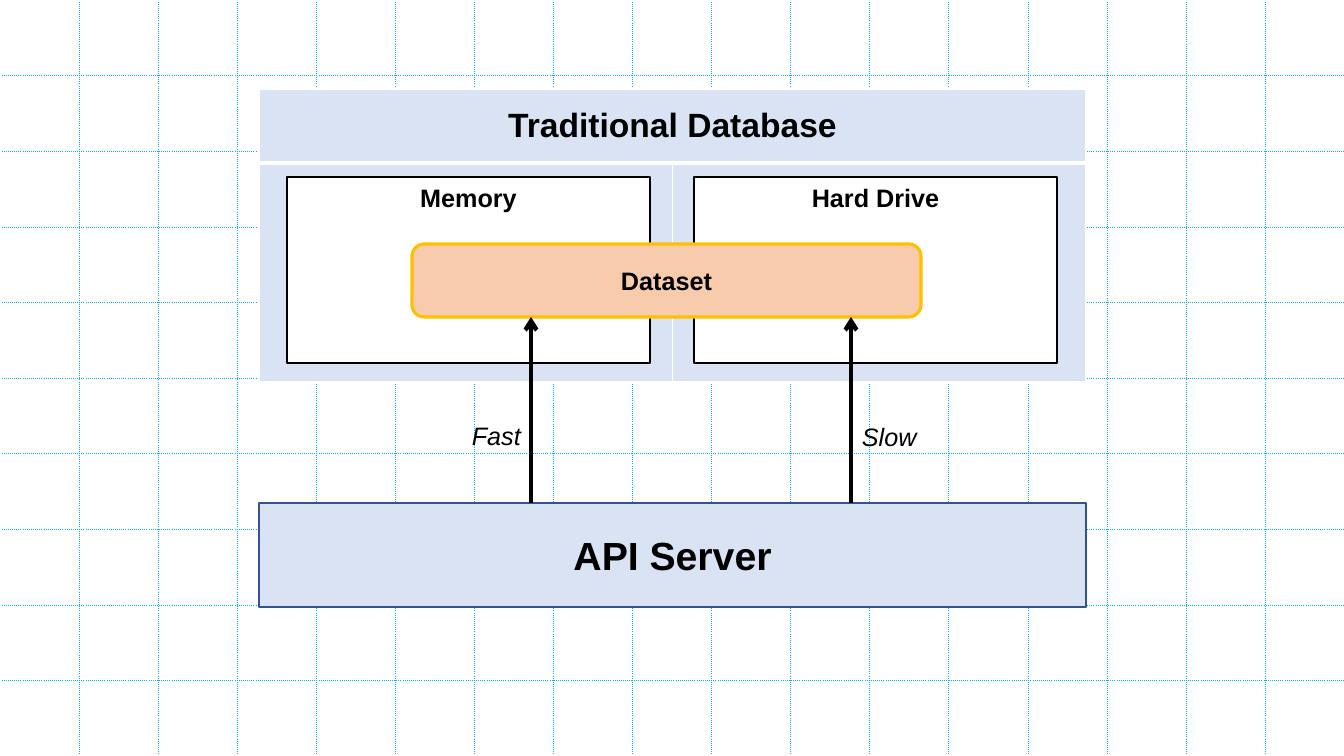
from lxml.etree import SubElement
from pptx import Presentation
from pptx.dml.color import RGBColor
from pptx.enum.shapes import MSO_CONNECTOR as Connector, MSO_SHAPE as Shape
from pptx.enum.text import MSO_ANCHOR as Anchor, MSO_AUTO_SIZE as AutoSize, PP_ALIGN as Align
from pptx.oxml.ns import qn
from pptx.util import Emu, Pt

# Content, lengths in px
SLIDE_WIDTH, SLIDE_HEIGHT = 1344, 756
GRID_COLUMNS, GRID_ROWS = 17, 10
PANEL_LEFT, PANEL_WIDTH = 259, 827
DATABASE_TOP, DATABASE_ROWS = 89, (74, 219)
DATASET_BOTTOM, SERVER_TOP = 317, 503
PANEL_FILL = "DAE3F3"
GRID_LINE = ("00B0F0", 0.25, "sysDot")

# text, shape, (left, top, width, height), fill, line, line width, size, anchor
BOXES = [
    ("Memory", Shape.RECTANGLE, (287, 177, 363, 186), "FFFFFF", "000000", 1, 18, Anchor.TOP),
    ("Hard Drive", Shape.RECTANGLE, (694, 177, 363, 186), "FFFFFF", "000000", 1, 18, Anchor.TOP),
    ("Dataset", Shape.ROUNDED_RECTANGLE, (412, 244, 509, DATASET_BOTTOM - 244),
     "F8CBAD", "FFC000", 2.25, 18, Anchor.MIDDLE),
    ("API Server", Shape.RECTANGLE, (PANEL_LEFT, SERVER_TOP, PANEL_WIDTH, 104),
     PANEL_FILL, "325491", 1, 28, Anchor.MIDDLE),
]
ARROWS = [531, 851]
LABELS = [("Fast", (462, 415, 70, 40)), ("Slow", (852, 416, 76, 40))]


def px(length):
    return Emu(round(length * 914400 / 100.8))


def color(value):
    return RGBColor.from_string(value)


def write(frame, text, size, align=Align.CENTER, **styles):
    paragraph = frame.paragraphs[0]
    paragraph.alignment = align
    run = paragraph.add_run()
    run.text = text
    for name, value in {"name": "Arial", "size": Pt(size), **styles}.items():
        setattr(run.font, name, value)
    run.font.color.rgb = color("000000")


def set_borders(cell, borders):
    properties = cell._tc.get_or_add_tcPr()
    for side in "LRTB":
        if side in borders:
            line_color, width, dash = borders[side]
            line = SubElement(properties, qn(f"a:ln{side}"), w=str(Pt(width)))
            fill = SubElement(line, qn("a:solidFill"))
            SubElement(fill, qn("a:srgbClr"), val=line_color)
            SubElement(line, qn("a:prstDash"), val=dash)


def add_plain_table(left, top, widths, heights):
    table = slide.shapes.add_table(len(heights), len(widths), px(left), px(top),
                                   px(sum(widths)), px(sum(heights))).table
    table.first_row = table.horz_banding = False
    for column, width in zip(table.columns, widths):
        column.width = px(width)
    for row, height in zip(table.rows, heights):
        row.height = px(height)
    return table


presentation = Presentation()
presentation.slide_width, presentation.slide_height = px(SLIDE_WIDTH), px(SLIDE_HEIGHT)
slide = presentation.slides.add_slide(presentation.slide_layouts[6])

# Dotted background grid, with inner lines only
grid = add_plain_table(0, 0, [SLIDE_WIDTH / GRID_COLUMNS] * GRID_COLUMNS,
                       [SLIDE_HEIGHT / GRID_ROWS] * GRID_ROWS)
for row in range(GRID_ROWS):
    for column in range(GRID_COLUMNS):
        inner = {"L": column > 0, "R": column < GRID_COLUMNS - 1,
                 "T": row > 0, "B": row < GRID_ROWS - 1}
        cell = grid.cell(row, column)
        set_borders(cell, {side: GRID_LINE for side in inner if inner[side]})
        cell.fill.background()

# Database panel
database = add_plain_table(PANEL_LEFT, DATABASE_TOP, [PANEL_WIDTH / 2] * 2, DATABASE_ROWS)
for row in range(2):
    for column in range(2):
        cell = database.cell(row, column)
        borders = dict.fromkeys("LRTB", ("FFFFFF", 1, "solid"))
        borders["T" if row else "B"] = ("FFFFFF", 3, "solid")
        set_borders(cell, borders)
        cell.fill.solid()
        cell.fill.fore_color.rgb = color(PANEL_FILL)
heading = database.cell(0, 0)
heading.merge(database.cell(0, 1))
heading.vertical_anchor = Anchor.MIDDLE
write(heading.text_frame, "Traditional Database", 24, bold=True)

# Storage areas, dataset and server
for text, kind, place, fill, line, line_width, size, anchor in BOXES:
    shape = slide.shapes.add_shape(kind, *map(px, place))
    shape.shadow.inherit = False
    shape.fill.solid()
    shape.fill.fore_color.rgb = color(fill)
    shape.line.color.rgb = color(line)
    shape.line.width = Pt(line_width)
    shape.text_frame.vertical_anchor = anchor
    write(shape.text_frame, text, size, bold=True)

# Access arrows
for x in ARROWS:
    arrow = slide.shapes.add_connector(Connector.STRAIGHT, px(x), px(SERVER_TOP),
                                       px(x), px(DATASET_BOTTOM))
    arrow.line.color.rgb = color("000000")
    arrow.line.width = Pt(3)
    SubElement(arrow.line._get_or_add_ln(), qn("a:tailEnd"), type="arrow")
    SubElement(arrow._element.spPr, qn("a:effectLst"))

# Arrow labels
for text, place in LABELS:
    frame = slide.shapes.add_textbox(*map(px, place)).text_frame
    frame.word_wrap = False
    frame.auto_size = AutoSize.SHAPE_TO_FIT_TEXT
    write(frame, text, 18, Align.LEFT, italic=True)

presentation.save("out.pptx")
